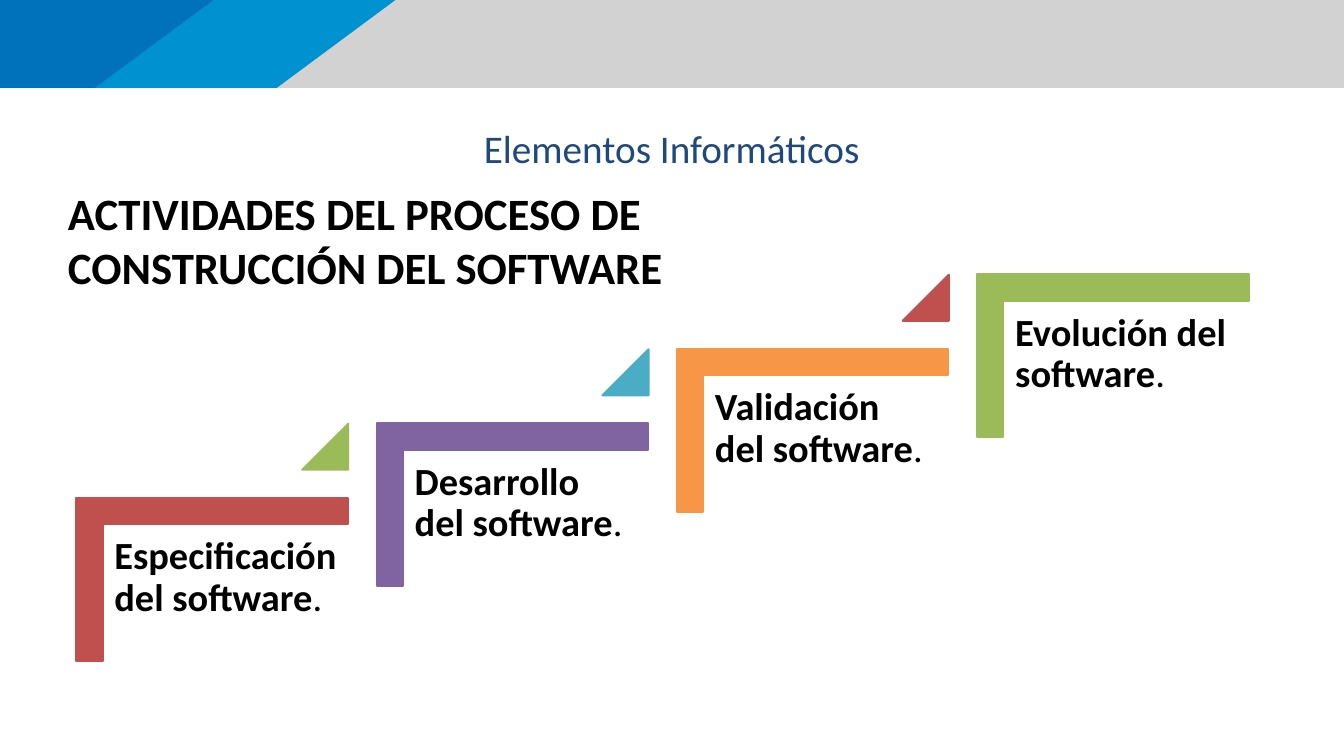
from pptx import Presentation
from pptx.dml.color import RGBColor
from pptx.enum import shapes, text
from pptx.util import Cm, Pt

TOPIC = "Elementos Informáticos"
TITLE = "ACTIVIDADES DEL PROCESO DE CONSTRUCCIÓN DEL SOFTWARE"
HEX = {"gray": "D2D2D3", "sky": "0091D1", "blue": "0071BB", "navy": "1F497D",
       "black": "000000", "red": "C0504D", "green": "9BBB59",
       "violet": "8064A2", "teal": "4BACC6", "orange": "F79646"}
# label, corner colour, triangle colour
STEPS = [("Especificación del software", "red", "green"),
         ("Desarrollo del software", "violet", "teal"),
         ("Validación del software", "orange", "red"),
         ("Evolución del software", "green", None)]
WIDE, HIGH = 48.16, 27.1
# colour, top right, bottom right
BANDS = [("gray", WIDE, WIDE), ("sky", 14.17, 9.92), ("blue", 7.65, 3.4)]
BAND_H = 3.15
STEP_X, STEP_Y = 10.76, -2.67
FONT = "Calibri"

deck = Presentation()
deck.slide_width, deck.slide_height = Cm(WIDE), Cm(HIGH)
slide = deck.slides.add_slide(deck.slide_layouts[5])
parts = slide.shapes


def color(name):
    return RGBColor.from_string(HEX[name])


def paint(shape, name, line=True):
    shape.shadow.inherit = False
    shape.fill.solid()
    shape.fill.fore_color.rgb = color(name)
    if line:
        shape.line.color.rgb = color(name)
        shape.line.width = Pt(2)
    else:
        shape.line.fill.background()


def place(shape, left, top, width, height):
    shape.left, shape.top = Cm(left), Cm(top)
    shape.width, shape.height = Cm(width), Cm(height)


def write(shape, words, size, name="black", bold=False, inset=None):
    """Put one wrapped, top-anchored paragraph in a shape and return it."""
    frame = shape.text_frame
    frame.word_wrap = True
    frame.auto_size = text.MSO_AUTO_SIZE.NONE
    frame.vertical_anchor = text.MSO_ANCHOR.TOP
    if inset is not None:
        frame.margin_left = frame.margin_right = Cm(inset)
        frame.margin_top = frame.margin_bottom = Cm(inset)
    para = frame.paragraphs[0]
    para.alignment = text.PP_ALIGN.LEFT
    para.add_run().text = words
    para.font.name, para.font.size = FONT, Pt(size)
    para.font.bold, para.font.color.rgb = bold, color(name)
    return para


def add_box(left, top, width, height):
    return parts.add_textbox(Cm(left), Cm(top), Cm(width), Cm(height))


def add_step(left, top, label, hue, flag):
    """Draw one stair: corner, label and the triangle leading on."""
    corner = parts.add_shape(shapes.MSO_SHAPE.CORNER, 0, 0, 0, 0)
    place(corner, left + 0.99, top - 2.92, 5.84, 9.73)
    corner.rotation = 90
    corner.adjustments[0] = corner.adjustments[1] = 0.161
    paint(corner, hue)

    para = write(add_box(left, top, 8.79, 7.7), label, 39, bold=True, inset=0.41)
    para.line_spacing = 0.9
    dot = para.add_run()
    dot.text, dot.font.bold = ".", False

    if flag:
        wedge = parts.add_shape(shapes.MSO_SHAPE.ISOSCELES_TRIANGLE, 0, 0, 0, 0)
        place(wedge, left + 7.14, top - 3.63, 1.65, 1.65)
        wedge.adjustments[0] = 1
        paint(wedge, flag)


for hue, upper, lower in BANDS:
    edge = parts.build_freeform(0, 0)
    edge.add_line_segments([(Cm(upper), 0), (Cm(lower), Cm(BAND_H)),
                            (0, Cm(BAND_H))])
    paint(edge.convert_to_shape(), hue, line=False)

topic = write(add_box(7.82, 4.45, 32.51, 1.7), TOPIC, 39.8, "navy", inset=0)
topic.alignment = text.PP_ALIGN.CENTER
place(parts.title, 2.18, 6.53, 25.88, 4.14)
write(parts.title, TITLE, 45.5, bold=True)

for i, step in enumerate(STEPS):
    add_step(3.69 + i * STEP_X, 18.82 + i * STEP_Y, *step)

deck.save("out.pptx")
